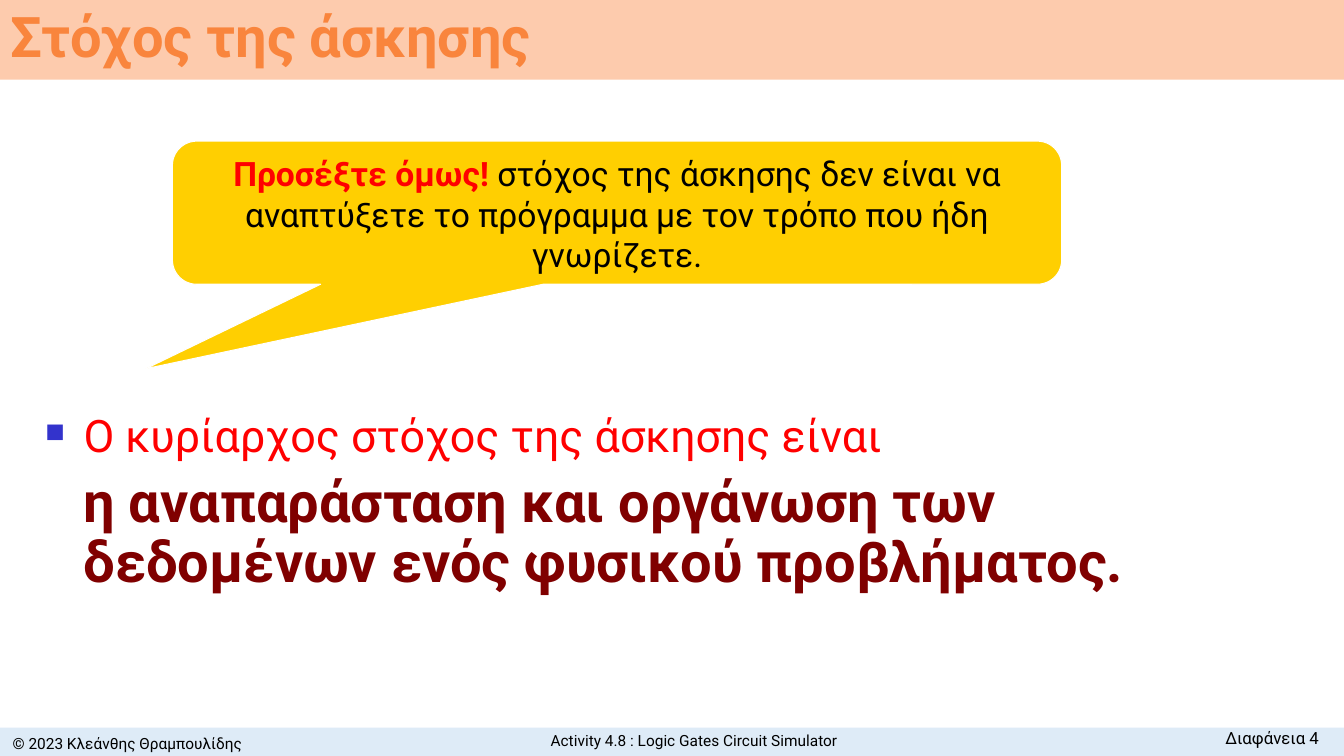
from pptx import Presentation
from pptx.dml.color import RGBColor
from pptx.enum.shapes import MSO_SHAPE
from pptx.enum.text import MSO_ANCHOR, MSO_AUTO_SIZE, PP_ALIGN
from pptx.util import Inches, Pt
from lxml import etree

LEFT, CENTER, RIGHT = PP_ALIGN.LEFT, PP_ALIGN.CENTER, PP_ALIGN.RIGHT
TOP, MIDDLE = MSO_ANCHOR.TOP, MSO_ANCHOR.MIDDLE
NO_AUTOFIT = MSO_AUTO_SIZE.NONE
RECTANGLE = MSO_SHAPE.RECTANGLE
CALLOUT = MSO_SHAPE.ROUNDED_RECTANGULAR_CALLOUT

BLACK = RGBColor(0x00, 0x00, 0x00)
WHITE = RGBColor(0xFF, 0xFF, 0xFF)
RED = RGBColor(0xFF, 0x00, 0x00)
MAROON = RGBColor(0x80, 0x00, 0x00)
ORANGE = RGBColor(0xF9, 0x85, 0x3D)
PEACH = RGBColor(0xFD, 0xCB, 0xAD)
YELLOW = RGBColor(0xFF, 0xCF, 0x01)
PALE_BLUE = RGBColor(0xDE, 0xEB, 0xF7)
BULLET_BLUE = RGBColor(0x33, 0x33, 0xCC)
FONT = "Roboto"
DRAWING_NS = "http://schemas.openxmlformats.org/drawingml/2006/main"


def add_span(para, text, size, color, bold=False):
    span = para.add_run()
    span.text = text
    span.font.name = FONT
    span.font.size = Pt(size)
    span.font.bold = bold
    span.font.color.rgb = color


def add_bullet(para, symbol, color, percent):
    properties = para._p.get_or_add_pPr()
    for tag, value in (("buClr", None), ("buSzPct", percent * 1000), ("buChar", symbol)):
        element = etree.SubElement(properties, f"{{{DRAWING_NS}}}{tag}")
        if tag == "buClr":
            etree.SubElement(element, f"{{{DRAWING_NS}}}srgbClr", val=str(color))
        else:
            element.set("char" if tag == "buChar" else "val", str(value))


deck = Presentation()
deck.slide_width, deck.slide_height = Inches(13.33), Inches(7.5)
page = deck.slides.add_slide(deck.slide_layouts[5])

# Title band
title = page.shapes.title
title.left, title.top = Inches(0), Inches(0)
title.width, title.height = Inches(13.33), Inches(0.79)
title.fill.solid()
title.fill.fore_color.rgb = PEACH
title.text_frame.auto_size = NO_AUTOFIT
title.text_frame.vertical_anchor = MIDDLE
para = title.text_frame.paragraphs[0]
para.alignment = LEFT
para.line_spacing = 0.9
add_span(para, "Στόχος της άσκησης", 40, ORANGE, bold=True)

# Footer band and its three texts
footer = page.shapes.add_shape(RECTANGLE, Inches(0), Inches(7.22), Inches(13.33), Inches(0.3))
footer.shadow.inherit = False
footer.fill.solid()
footer.fill.fore_color.rgb = PALE_BLUE
footer.line.fill.background()

footer_texts = [
    ("© 2023 Κλεάνθης Θραμπουλίδης", 0, 7.22, 2.53, 0.3, 11, CENTER, MIDDLE),
    ("Activity 4.8 : Logic Gates Circuit Simulator", 3.46, 7.22, 6.85, 0.26, 11, CENTER, MIDDLE),
    ("Διαφάνεια 4", 11.12, 7.17, 2.06, 0.3, 12, RIGHT, TOP),
]
for text, left, top, width, height, size, alignment, anchor in footer_texts:
    box = page.shapes.add_textbox(Inches(left), Inches(top), Inches(width), Inches(height))
    box.text_frame.word_wrap = True
    box.text_frame.vertical_anchor = anchor
    para = box.text_frame.paragraphs[0]
    para.alignment = alignment
    add_span(para, text, size, BLACK)

# Main goal
goal = page.shapes.add_textbox(Inches(0.35), Inches(4.06), Inches(11.85), Inches(2.52))
goal.text_frame.word_wrap = True
lead = goal.text_frame.paragraphs[0]
lead.line_spacing = 0.9
hanging = lead._p.get_or_add_pPr()
hanging.set("marL", str(Inches(0.38)))
hanging.set("indent", str(Inches(-0.38)))
add_bullet(lead, "■", BULLET_BLUE, 60)
add_span(lead, "Ο κυρίαρχος στόχος της άσκησης είναι", 32, RED)

statement = goal.text_frame.add_paragraph()
statement.line_spacing = 0.9
statement.space_before = Pt(8)
statement._p.get_or_add_pPr().set("marL", str(Inches(0.38)))
add_span(statement, "η αναπαράσταση και οργάνωση των δεδομένων ενός φυσικού προβλήματος.",
         40, MAROON, bold=True)

# Warning callout
callout = page.shapes.add_shape(CALLOUT, Inches(1.71), Inches(1.4), Inches(8.82), Inches(1.42))
callout.shadow.inherit = False
for index, value in enumerate((-0.53, 1.09, 0.17)):
    callout.adjustments[index] = value
callout.fill.solid()
callout.fill.fore_color.rgb = YELLOW
callout.line.color.rgb = WHITE
callout.line.width = Pt(0.75)
callout.text_frame.word_wrap = True
callout.text_frame.vertical_anchor = TOP
para = callout.text_frame.paragraphs[0]
para.alignment = CENTER
add_span(para, "Προσέξτε όμως! ", 24, RED, bold=True)
add_span(para, "στόχος της άσκησης δεν είναι να αναπτύξετε το πρόγραμμα "
         "με τον τρόπο που ήδη γνωρίζετε.", 24, BLACK)

deck.save("out.pptx")
